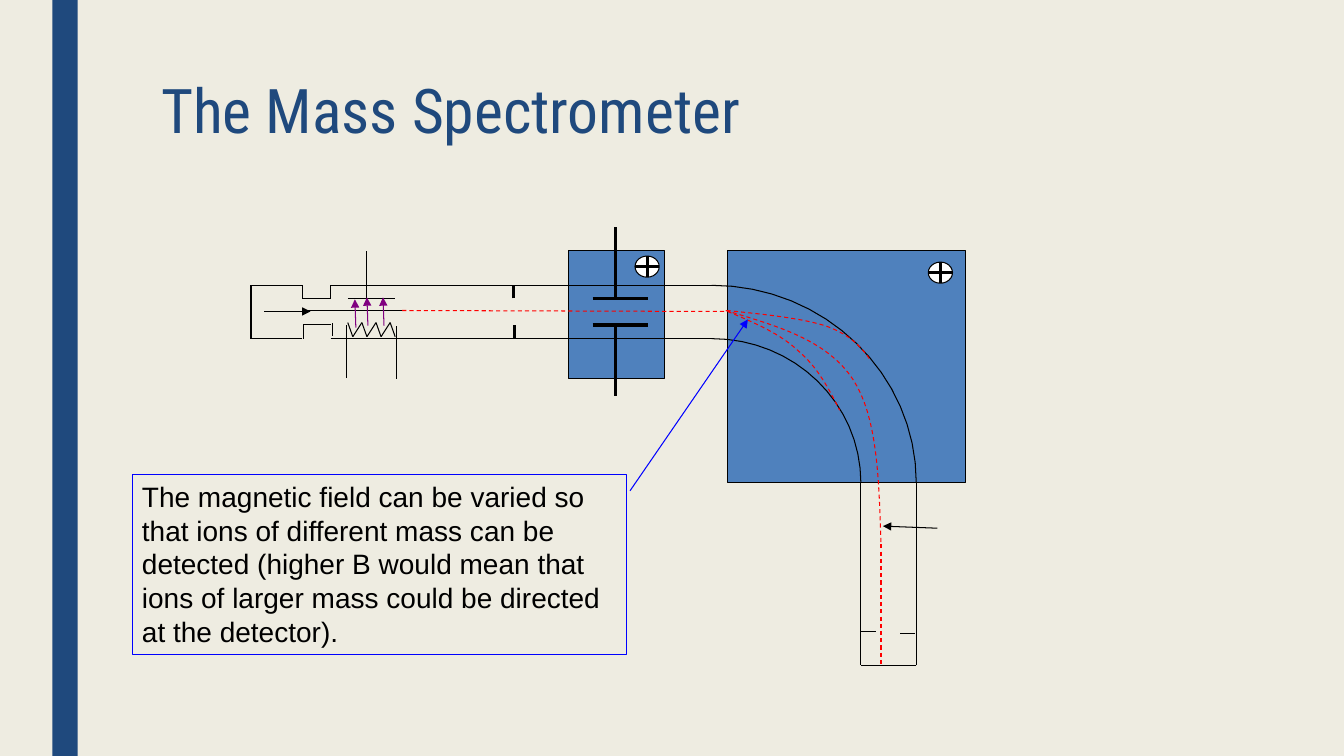
from dataclasses import dataclass

from lxml import etree
from pptx import Presentation
from pptx.dml.color import RGBColor
from pptx.enum import dml, shapes as kinds, text as txt
from pptx.oxml.ns import qn
from pptx.util import Pt


@dataclass(frozen=True)
class Theme:
    paper: str = "EEECE1"
    navy: str = "1F497D"
    magnet: str = "4F81BD"
    ink: str = "000000"
    white: str = "FFFFFF"
    ion: str = "FF0000"
    electron: str = "800080"
    note: str = "0000FF"
    thin: float = 0.75
    thick: float = 2.25
    title_font: str = "Roboto Condensed"
    body_font: str = "Arial"
    title_size: int = 44
    body_size: int = 20


THEME = Theme()

# Shared levels of the tube, in points
TUBE_TOP, TUBE_BOTTOM, AXIS = 203.8, 241.9, 221.8
PLATE_TOP, PLATE_BOTTOM = 213.1, 232.2
BEND_X, BEND_Y, TUBE_END = 508.3, 344.9, 475.2
INNER_X, OUTER_X = 614.9, 654.5


def rgb(color):
    return RGBColor.from_string(color)


def style_line(line, color, width, dashed=False):
    line.color.rgb = rgb(color)
    line.width = Pt(width)
    if dashed:
        line.dash_style = dml.MSO_LINE.DASH


def box(parent, left, top, width, height, fill=None, edge=None,
        kind=kinds.MSO_SHAPE.RECTANGLE):
    shape = parent.add_shape(kind, Pt(left), Pt(top), Pt(width), Pt(height))
    shape.shadow.inherit = False
    if fill:
        shape.fill.solid()
        shape.fill.fore_color.rgb = rgb(fill)
    else:
        shape.fill.background()
    if edge:
        style_line(shape.line, edge, THEME.thin)
    else:
        shape.line.fill.background()
    return shape


def line(parent, x1, y1, x2, y2, color=THEME.ink, width=THEME.thin,
         dashed=False, arrow=False):
    stroke = parent.add_connector(kinds.MSO_CONNECTOR.STRAIGHT,
                                  Pt(x1), Pt(y1), Pt(x2), Pt(y2))
    style_line(stroke.line, color, width, dashed)
    properties = stroke._element.spPr
    if arrow:
        outline = properties.find(qn("a:ln"))
        etree.SubElement(outline, qn("a:tailEnd"), type="triangle")
    etree.SubElement(properties, qn("a:effectLst"))


def curve(parent, points, color=THEME.ink, dashed=False, steps=16):
    """Draw joined cubic Bezier spans: a start, then three points a span."""
    trace = []
    for i in range(0, len(points) - 1, 3):
        span = points[i:i + 4]
        for step in range(1, steps + 1):
            t = step / steps
            weights = ((1 - t) ** 3, 3 * t * (1 - t) ** 2,
                       3 * t ** 2 * (1 - t), t ** 3)
            trace.append(tuple(Pt(sum(w * p[axis] for w, p in zip(weights, span)))
                               for axis in (0, 1)))
    builder = parent.build_freeform(Pt(points[0][0]), Pt(points[0][1]))
    builder.add_line_segments(trace, close=False)
    path_shape = builder.convert_to_shape()
    path_shape.shadow.inherit = False
    path_shape.fill.background()
    style_line(path_shape.line, color, THEME.thin, dashed)


def write(shape, words, font, size, color, spacing=None):
    frame = shape.text_frame
    frame.word_wrap = True
    frame.vertical_anchor = txt.MSO_ANCHOR.TOP
    frame.text = words
    paragraph = frame.paragraphs[0]
    paragraph.alignment = txt.PP_ALIGN.LEFT
    if spacing:
        paragraph.line_spacing = spacing
    run = paragraph.runs[0]
    run.font.name = font
    run.font.size = Pt(size)
    run.font.color.rgb = rgb(color)


def field_symbol(parent, left, top, width=17.3, height=15.1):
    symbol = parent.add_group_shape().shapes
    box(symbol, left, top, width, height, THEME.white, THEME.ink,
        kinds.MSO_SHAPE.OVAL)
    mid_x, mid_y = left + width / 2, top + height / 2
    line(symbol, mid_x, top, mid_x, top + height, width=THEME.thick)
    line(symbol, left, mid_y, left + width, mid_y, width=THEME.thick)


def filament(parent, left=248.4, top=230.4, bottom=240.5, pitch=10.1, fall=3.6):
    coil = parent.add_group_shape().shapes
    for tooth in range(4):
        x = left + tooth * pitch
        line(coil, x, top, x + fall, bottom)
        if tooth < 3:
            line(coil, x + fall, bottom, x + pitch, top)


def ion_source(parent):
    # Inlet and tube walls
    for wall in [
        (216, TUBE_TOP, 179.3, TUBE_TOP), (179.3, TUBE_BOTTOM, 179.3, TUBE_TOP),
        (216, TUBE_BOTTOM, 179.3, TUBE_BOTTOM),
        (216, TUBE_TOP, 216, PLATE_TOP), (216.7, 231.8, 216.7, TUBE_BOTTOM),
        (216, PLATE_TOP, 236.2, PLATE_TOP), (216.7, 231.8, 236.2, 231.8),
        (236.2, PLATE_TOP, 236.2, TUBE_TOP), (237.6, 239.8, 237.6, 230.4),
        (236.2, TUBE_TOP, BEND_X, TUBE_TOP),
        (236.2, TUBE_BOTTOM, BEND_X, TUBE_BOTTOM),
    ]:
        line(parent, *wall)

    # Filament with its leads, and the electron trap
    filament(parent)
    line(parent, 247.7, 270, 247.7, 231.8)
    line(parent, 283, 270.7, 283, 232.6)
    line(parent, 248.4, PLATE_TOP, 282.2, PLATE_TOP)
    line(parent, 262.1, PLATE_TOP, 262.1, 179.3)

    # Entry slit
    line(parent, 366.5, PLATE_TOP, 366.5, TUBE_TOP, width=THEME.thick)
    line(parent, 367.2, TUBE_BOTTOM, 367.2, 231.8, width=THEME.thick)


def velocity_selector(parent):
    for plate_y, lead_y in ((PLATE_TOP, 162), (PLATE_BOTTOM, 283)):
        line(parent, 423.4, plate_y, 463, plate_y, width=THEME.thick)
        line(parent, 439.9, plate_y, 439.9, lead_y, width=THEME.thick)
    field_symbol(parent, 453.6, 182.9)


def bend_and_detector(parent):
    curve(parent, [(BEND_X, TUBE_TOP), (589, TUBE_TOP),
                   (OUTER_X, 267.1), (OUTER_X, BEND_Y)])
    curve(parent, [(BEND_X, TUBE_BOTTOM), (567.4, TUBE_BOTTOM),
                   (INNER_X, 288), (INNER_X, BEND_Y)])
    for wall_x in (INNER_X, OUTER_X):
        line(parent, wall_x, BEND_Y, wall_x, TUBE_END)
    line(parent, OUTER_X, TUBE_END, INNER_X, TUBE_END)
    line(parent, INNER_X, 451.4, 625.7, 451.4)
    line(parent, 643, 452.2, 653.8, 452.2)


def beams(parent):
    line(parent, 188.6, 222.5, 221.8, 222.5, arrow=True)
    line(parent, 287.3, AXIS, 519.1, 222.5, THEME.ion, dashed=True)
    heavy = [(519.1, AXIS), (546.5, 224.6), (574.6, 227.5), (591.1, 233.3),
             (608.4, 239.8), (615.6, 248.4), (622.1, 257.8)]
    light = [(519.8, 222.5), (538.6, 230.4), (557.3, 238.3), (570.2, 250.6),
             (583.9, 262.1), (591.8, 277.2), (599.8, 293)]
    detected = [(518.4, AXIS), (554.4, 232.6), (590.4, 242.6), (609.1, 270.7),
                (627.1, 298.1), (627.8, 342.7), (629.3, 387.4)]
    for beam in (heavy, light, detected):
        curve(parent, beam, THEME.ion, dashed=True)
    line(parent, 629.3, 388.8, 629.3, TUBE_END, THEME.ion, dashed=True)
    field_symbol(parent, 663.1, 187.2)
    line(parent, 669.6, 377.3, 630.7, 375.8, arrow=True)
    line(parent, 287.3, AXIS, 218.9, AXIS)
    for x, y in ((254.2, 234), (262.8, 232.6), (274.3, 232.6)):
        line(parent, x, y, x - 0.7, y - 20.2, THEME.electron, arrow=True)


def main():
    deck = Presentation()
    deck.slide_width, deck.slide_height = Pt(960), Pt(540)
    slide = deck.slides.add_slide(deck.slide_layouts[6])
    slide.background.fill.solid()
    slide.background.fill.fore_color.rgb = rgb(THEME.paper)
    canvas = slide.shapes

    # Side bar, magnets and title
    box(canvas, 37.4, 0, 18, 540, THEME.navy)
    box(canvas, 519.8, 179.3, 169.9, 165.6, THEME.magnet, THEME.ink)
    box(canvas, 406.1, 179.3, 68.4, 91.4, THEME.magnet, THEME.ink)
    title = canvas.add_textbox(Pt(108), Pt(54), Pt(756), Pt(116.6))
    write(title, "The Mass Spectrometer", THEME.title_font, THEME.title_size,
          THEME.navy, spacing=0.89)

    # Spectrometer, from inlet to detector
    ion_source(canvas)
    velocity_selector(canvas)
    bend_and_detector(canvas)
    beams(canvas)

    # Note on the magnetic field
    note = box(canvas, 94.3, 339.1, 353.5, 128.2, edge=THEME.note)
    write(note, "The magnetic field can be varied so that ions of different mass "
          "can be detected (higher B would mean that ions of larger mass could "
          "be directed at the detector).",
          THEME.body_font, THEME.body_size, THEME.ink)
    line(canvas, 450, 350.6, 534.2, 228.2, THEME.note, arrow=True)

    deck.save("out.pptx")


if __name__ == "__main__":
    main()
